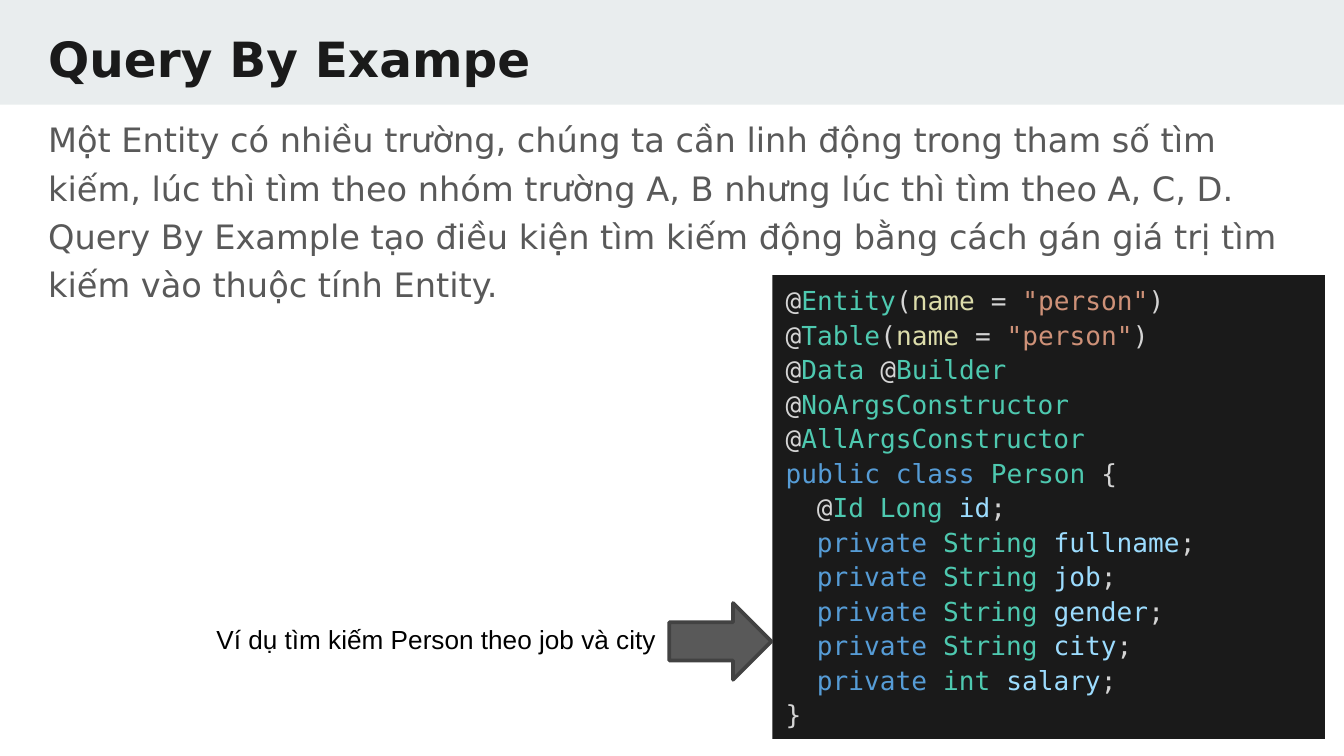
from pptx import Presentation
from pptx.dml.color import RGBColor
from pptx.enum.shapes import MSO_SHAPE as Preset
from pptx.enum.text import MSO_ANCHOR as Anchor, MSO_AUTO_SIZE as AutoSize, PP_ALIGN as Align
from pptx.oxml.ns import qn
from pptx.util import Cm, Pt
from lxml.etree import SubElement

BAND = RGBColor(0xE9, 0xED, 0xEE)
DARK = RGBColor(0x1A, 0x1A, 0x1A)
GREY = RGBColor(0x59, 0x59, 0x59)
OUTLINE = RGBColor(0x42, 0x42, 0x42)
BLACK = RGBColor(0, 0, 0)
PLAIN = RGBColor(0xD4, 0xD4, 0xD4)
TYPE = RGBColor(0x4E, 0xC9, 0xB0)
PARAMETER = RGBColor(0xDC, 0xDC, 0xAA)
STRING = RGBColor(0xCE, 0x91, 0x78)
KEYWORD = RGBColor(0x56, 0x9C, 0xD6)
FIELD = RGBColor(0x9C, 0xDC, 0xFE)

TITLE_FORMAT = {"name": "DejaVu Sans", "size": Pt(26), "bold": True}
BODY_FORMAT = {"name": "DejaVu Sans", "size": Pt(18)}
CODE_FORMAT = {"name": "DejaVu Sans Mono", "size": Pt(14)}
CAPTION_FORMAT = {"name": "Arial", "size": Pt(14)}

BODY_TEXT = (
    "Một Entity có nhiều trường, chúng ta cần linh động trong tham số tìm kiếm, "
    "lúc thì tìm theo nhóm trường A, B nhưng lúc thì tìm theo A, C, D. "
    "Query By Example tạo điều kiện tìm kiếm động bằng cách gán giá trị "
    "tìm kiếm vào thuộc tính Entity."
)


def annotation(name):
    return [("@", PLAIN), (name, TYPE)]


def named_annotation(name):
    return annotation(name) + [
        ("(", PLAIN), ("name", PARAMETER), (" = ", PLAIN), ('"person"', STRING), (")", PLAIN),
    ]


def private_field(kind, name):
    return [("private ", KEYWORD), (kind + " ", TYPE), (name, FIELD), (";", PLAIN)]


FIELDS = [("String", "fullname"), ("String", "job"), ("String", "gender"),
          ("String", "city"), ("int", "salary")]
CODE_HEADER = [
    named_annotation("Entity"),
    named_annotation("Table"),
    annotation("Data ") + annotation("Builder"),
    annotation("NoArgsConstructor ") + annotation("AllArgsConstructor"),
    [("public class ", KEYWORD), ("Person", TYPE), (" {", PLAIN)],
]
CODE_MEMBERS = [annotation("Id Long ") + [("id", FIELD), (";", PLAIN)]]
CODE_MEMBERS += [private_field(kind, name) for kind, name in FIELDS]
CODE_LINES = [(line, 0) for line in CODE_HEADER]
CODE_LINES += [(line, Cm(0.59)) for line in CODE_MEMBERS]
CODE_LINES += [([("}", PLAIN)], 0)]


def apply(target, values):
    for name, value in values.items():
        setattr(target, name, value)


class SlideBuilder:
    def __init__(self, slide):
        self.slide = slide

    def place(self, shape, box):
        apply(shape, dict(zip(("left", "top", "width", "height"), map(Cm, box))))

    def fill_paragraph(self, paragraph, runs, font_format, margin=0, **paragraph_format):
        apply(paragraph, {"alignment": Align.LEFT, **paragraph_format})
        properties = paragraph._p.get_or_add_pPr()
        properties.set("marL", str(int(margin)))
        properties.set("indent", "0")
        SubElement(properties, qn("a:buNone"))
        for text, colour in runs:
            run = paragraph.add_run()
            run.text = text
            apply(run.font, font_format)
            run.font.color.rgb = colour

    def placeholder(self, shape, box, text, colour, font_format, **options):
        self.place(shape, box)
        inset = Cm(0.25)
        apply(shape.text_frame, {
            "auto_size": AutoSize.NONE, "vertical_anchor": Anchor.TOP, "word_wrap": True,
            "margin_left": inset, "margin_right": inset,
            "margin_top": inset, "margin_bottom": inset,
        })
        self.fill_paragraph(shape.text_frame.paragraphs[0], [(text, colour)],
                            font_format, **options)

    def shape(self, preset, box, fill, line=None):
        shape = self.slide.shapes.add_shape(preset, *map(Cm, box))
        shape.shadow.inherit = False
        shape.fill.solid()
        shape.fill.fore_color.rgb = fill
        if line is None:
            shape.line.fill.background()
        else:
            shape.line.color.rgb = line
            shape.line.width = Pt(2)
        return shape

    def band(self, box, fill):
        band = self.shape(Preset.RECTANGLE, box, fill)
        self.slide.shapes.title.element.addprevious(band.element)

    def code(self, box, lines):
        frame = self.shape(Preset.RECTANGLE, box, DARK).text_frame
        apply(frame, {"word_wrap": True, "vertical_anchor": Anchor.TOP,
                      "auto_size": AutoSize.SHAPE_TO_FIT_TEXT})
        for number, (runs, margin) in enumerate(lines):
            paragraph = frame.add_paragraph() if number else frame.paragraphs[0]
            self.fill_paragraph(paragraph, runs, CODE_FORMAT, margin, line_spacing=1.1)

    def caption(self, box, text):
        frame = self.slide.shapes.add_textbox(*map(Cm, box)).text_frame
        apply(frame, {"word_wrap": False, "auto_size": AutoSize.SHAPE_TO_FIT_TEXT})
        self.fill_paragraph(frame.paragraphs[0], [(text, BLACK)], CAPTION_FORMAT)


def main():
    presentation = Presentation()
    presentation.slide_width = Cm(25.4)
    presentation.slide_height = Cm(14.29)
    slide = presentation.slides.add_slide(presentation.slide_layouts[1])
    builder = SlideBuilder(slide)
    builder.band((0, 0, 25.4, 1.98), BAND)
    builder.placeholder(slide.shapes.title, (0.66, 0.3, 24.18, 1.5),
                        "Query By Exampe", DARK, TITLE_FORMAT)
    builder.placeholder(slide.placeholders[1], (0.36, 1.85, 24.51, 11.84),
                        BODY_TEXT, GREY, BODY_FORMAT, margin=Cm(0.3),
                        line_spacing=1.2, space_before=Pt(6), space_after=Pt(6))
    builder.code((14.6, 5.2, 10.44, 8.77), CODE_LINES)
    builder.shape(Preset.RIGHT_ARROW, (12.65, 11.4, 1.93, 1.45), GREY, OUTLINE)
    builder.caption((3.84, 11.66, 8.99, 0.86), "Ví dụ tìm kiếm Person theo job và city")
    presentation.save("out.pptx")


if __name__ == "__main__":
    main()
